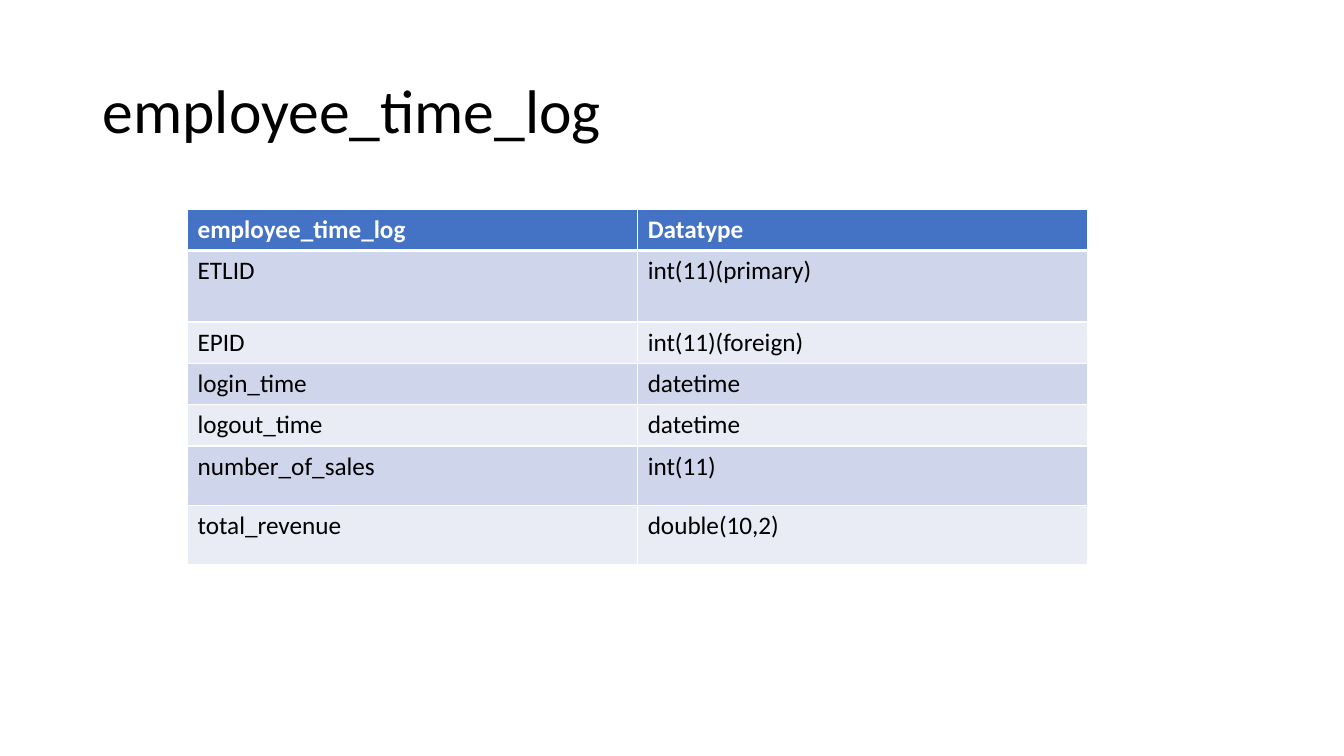
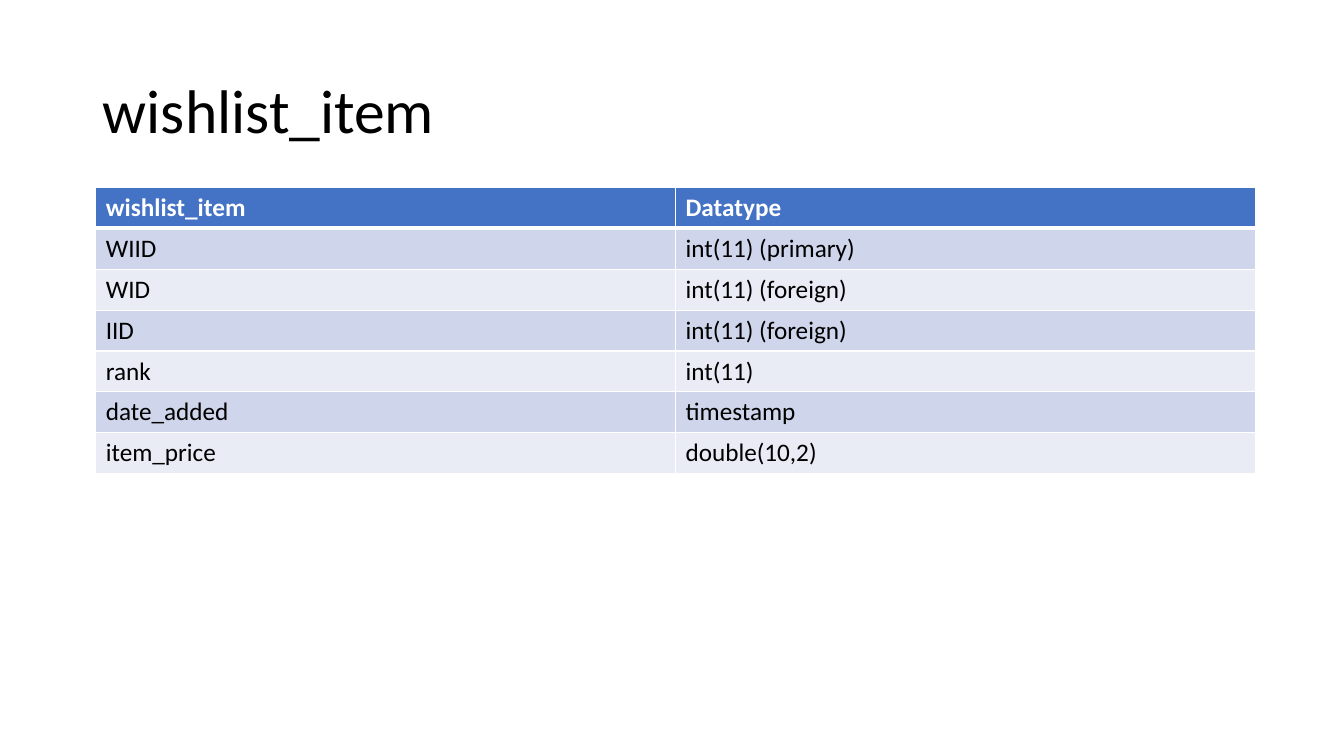
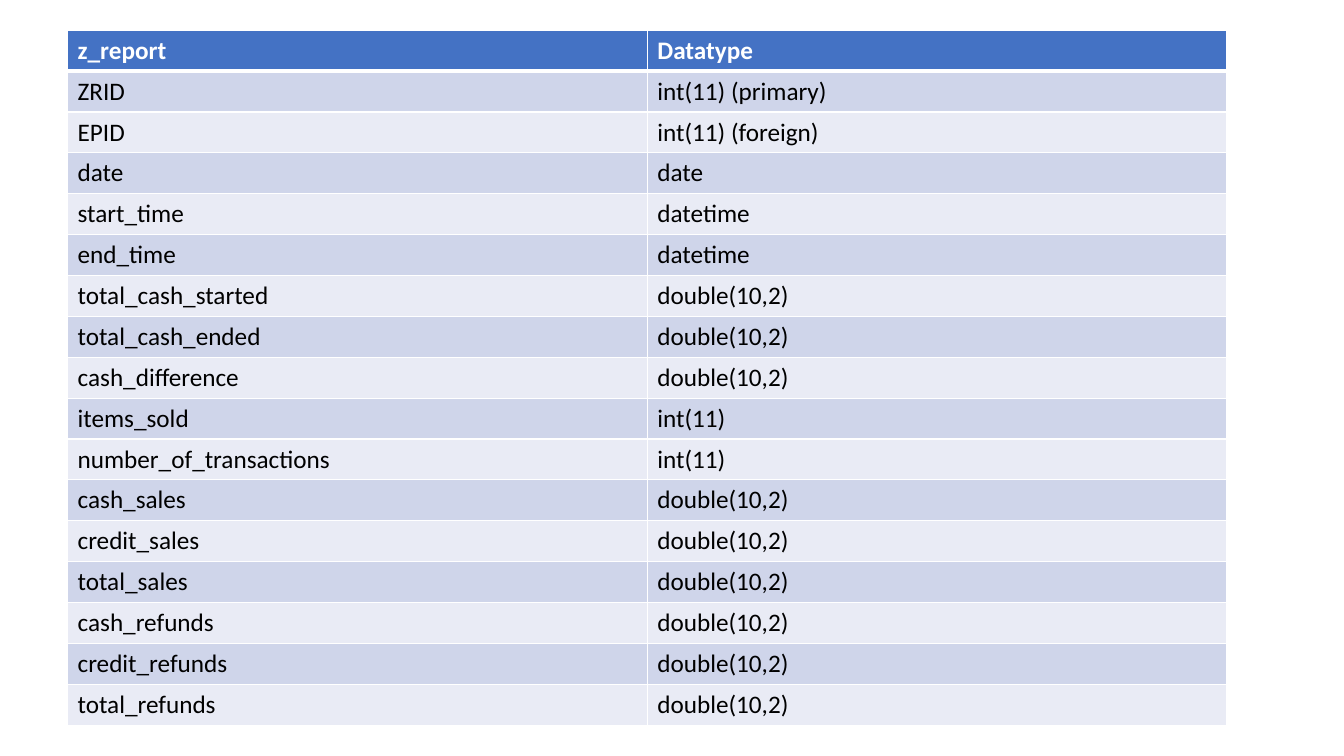
"""Build three slides that list the columns and datatypes of database tables."""
from dataclasses import dataclass

from lxml.etree import SubElement
from pptx import Presentation
from pptx.dml.color import RGBColor as RGB
from pptx.enum.text import MSO_ANCHOR as ANCHOR, MSO_AUTO_SIZE as AUTO, PP_ALIGN as ALIGN
from pptx.oxml.ns import qn
from pptx.util import Inches, Pt


@dataclass(frozen=True)
class Theme:
    font: str = "Calibri"
    title_size: int = 44
    cell_size: int = 18
    text: str = "000000"
    header_text: str = "FFFFFF"
    header_fill: str = "4472C4"
    bands: tuple = ("E9EBF5", "CFD5EA")
    border: str = "FFFFFF"
    thin: int = 1
    thick: int = 3


THEME = Theme()


def add_run(p, text, size, color, bold=False):
    r = p.add_run()
    r.text = text
    r.font.name = THEME.font
    r.font.size = Pt(size)
    r.font.bold = bold
    r.font.color.rgb = RGB.from_string(color)


def add_border(cell, side, width):
    tcPr = cell._tc.get_or_add_tcPr()
    ln = SubElement(tcPr, qn(f"a:ln{side}"), w=str(Pt(width)))
    fill = SubElement(ln, qn("a:solidFill"))
    SubElement(fill, qn("a:srgbClr"), val=THEME.border)


SLIDES = [
    {
        "title": "employee_time_log",
        "box": (1.86, 2.08, 8.93, 3.52),
        "heights": (0.4, 0.71, 0.41, 0.41, 0.41, 0.59, 0.59),
        "rows": [
            ("employee_time_log", "Datatype"),
            ("ETLID", "int(11)(primary)"),
            ("EPID", "int(11)(foreign)"),
            ("login_time", "datetime"),
            ("logout_time", "datetime"),
            ("number_of_sales", "int(11)"),
            ("total_revenue", "double(10,2)"),
        ],
    },
    {
        "title": "wishlist_item",
        "box": (0.95, 1.86, 11.5, 2.84),
        "rows": [
            ("wishlist_item", "Datatype"),
            ("WIID", "int(11) (primary)"),
            ("WID", "int(11) (foreign)"),
            ("IID", "int(11) (foreign)"),
            ("rank", "int(11)"),
            ("date_added", "timestamp"),
            ("item_price", "double(10,2)"),
        ],
    },
    {
        "box": (0.67, 0.3, 11.5, 6.89),
        "rows": [
            ("z_report", "Datatype"),
            ("ZRID", "int(11) (primary)"),
            ("EPID", "int(11) (foreign)"),
            ("date", "date"),
            ("start_time", "datetime"),
            ("end_time", "datetime"),
            ("total_cash_started", "double(10,2)"),
            ("total_cash_ended", "double(10,2)"),
            ("cash_difference", "double(10,2)"),
            ("items_sold", "int(11)"),
            ("number_of_transactions", "int(11)"),
            ("cash_sales", "double(10,2)"),
            ("credit_sales", "double(10,2)"),
            ("total_sales", "double(10,2)"),
            ("cash_refunds", "double(10,2)"),
            ("credit_refunds", "double(10,2)"),
            ("total_refunds", "double(10,2)"),
        ],
    },
]

prs = Presentation()
prs.slide_width, prs.slide_height = Inches(13.33), Inches(7.5)
title_only, blank = prs.slide_layouts[5], prs.slide_layouts[6]

for content in SLIDES:
    title = content.get("title")
    s = prs.slides.add_slide(title_only if title else blank)

    if title:
        sp = s.shapes.title
        sp.left, sp.top = Inches(0.92), Inches(0.4)
        sp.width, sp.height = Inches(11.5), Inches(1.45)
        tf = sp.text_frame
        tf.auto_size = AUTO.NONE
        tf.vertical_anchor = ANCHOR.MIDDLE
        p = tf.paragraphs[0]
        p.alignment = ALIGN.LEFT
        p.line_spacing = 0.9
        add_run(p, title, THEME.title_size, THEME.text)

    rows = content["rows"]
    box = [Inches(n) for n in content["box"]]
    table = s.shapes.add_table(len(rows), len(rows[0]), *box).table
    for row, height in zip(table.rows, content.get("heights", ())):
        row.height = Inches(height)

    for i, texts in enumerate(rows):
        header = i == 0
        fill = THEME.header_fill if header else THEME.bands[i % 2]
        color = THEME.header_text if header else THEME.text
        widths = {
            "L": THEME.thin,
            "R": THEME.thin,
            "T": THEME.thick if i == 1 else THEME.thin,
            "B": THEME.thick if header else THEME.thin,
        }
        for j, text in enumerate(texts):
            cell = table.cell(i, j)
            for side, width in widths.items():
                add_border(cell, side, width)
            cell.fill.solid()
            cell.fill.fore_color.rgb = RGB.from_string(fill)
            add_run(cell.text_frame.paragraphs[0], text, THEME.cell_size, color, header)

prs.save("out.pptx")
